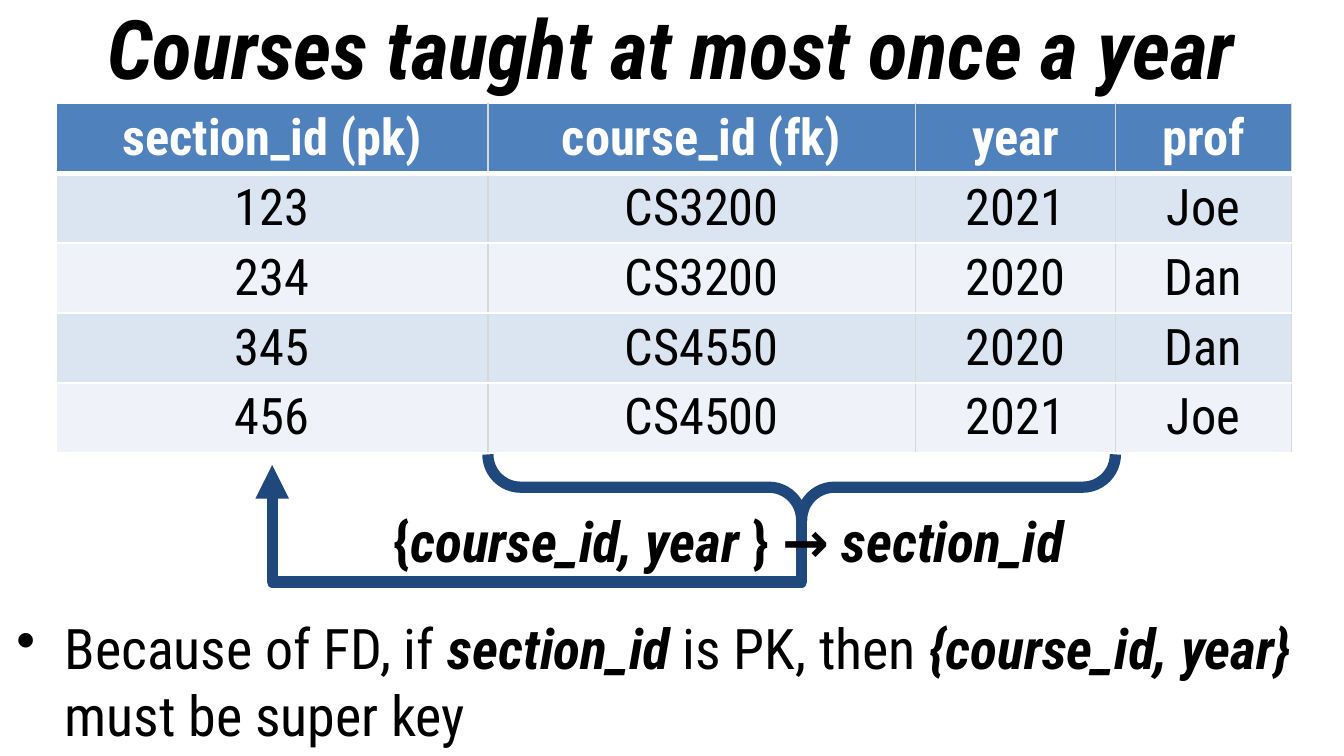
import pptx
import pptx.util
import pptx.dml.color
import pptx.enum.shapes
import pptx.enum.text
import pptx.oxml
import pptx.oxml.ns
from dataclasses import dataclass

Cm = pptx.util.Cm
Pt = pptx.util.Pt
qn = pptx.oxml.ns.qn

TITLE = [("Courses taught at most once a year", True, True)]
ROWS = [
    ("section_id (pk)", "course_id (fk)", "year", "prof"),
    ("123", "CS3200", "2021", "Joe"),
    ("234", "CS3200", "2020", "Dan"),
    ("345", "CS4550", "2020", "Dan"),
    ("456", "CS4500", "2021", "Joe"),
]
DEPENDENCY = [
    ("{", True, False),
    ("course_id, year ", True, True),
    ("} →", True, False),
    (" section_id", True, True),
]
CONCLUSION = [
    ("Because of FD, if ", False, False),
    ("section_id", True, True),
    (" is PK, then ", False, False),
    ("{course_id, year}", True, True),
    (" must be super key", False, False),
]


@dataclass(frozen=True)
class Theme:
    font: str = "Roboto Condensed"
    title: int = 44
    body: int = 30
    cell: int = 27
    stroke: int = 6
    black: str = "000000"
    white: str = "FFFFFF"
    navy: str = "1F497D"
    header: str = "4F81BD"
    bands: tuple = ("DBE5F1", "EFF3F9")
    grid: str = "D8D8D8"


T = Theme()
SLIDE_W, SLIDE_H = 25.4, 14.29
TABLE_X, TABLE_Y, ROW_H = 1.07, 1.96, 1.31
COLS = (8.15, 8.08, 3.78, 3.33)
BRACE_Y, BRACE_H = 8.59, 1.24
ARROW_TIP_Y, ARROW_LOW_Y = 8.79, 11.0


def rgb(value):
    return pptx.dml.color.RGBColor.from_string(value)


def add_runs(p, runs, size, color=T.black):
    for text, bold, italic in runs:
        r = p.add_run()
        r.text = text
        r.font.name = T.font
        r.font.size = Pt(size)
        r.font.bold = bold
        r.font.italic = italic
        r.font.color.rgb = rgb(color)


def add_text(s, box, runs, size, inset_y=0.13):
    tf = s.shapes.add_textbox(*map(Cm, box)).text_frame
    tf.word_wrap = True
    tf.margin_left = tf.margin_right = Cm(0.25)
    tf.margin_top = tf.margin_bottom = Cm(inset_y)
    add_runs(tf.paragraphs[0], runs, size)
    return tf


def set_borders(cell, first_column, header):
    left = T.white if first_column else T.grid
    edges = [("L", left, 1), ("R", T.grid, 1), ("T", T.white, 1),
             ("B", T.white, 3 if header else 1)]
    tc_pr = cell._tc.get_or_add_tcPr()
    for i, (side, color, width) in enumerate(edges):
        tc_pr.insert(i, pptx.oxml.parse_xml(
            f'<a:ln{side} {pptx.oxml.ns.nsdecls("a")} w="{Pt(width)}">'
            f'<a:solidFill><a:srgbClr val="{color}"/></a:solidFill></a:ln{side}>'))


def add_courses(s):
    table = s.shapes.add_table(
        len(ROWS), len(COLS), Cm(TABLE_X), Cm(TABLE_Y),
        Cm(sum(COLS)), Cm(ROW_H * len(ROWS))).table
    for column, width in zip(table.columns, COLS):
        column.width = Cm(width)
    for i, row in enumerate(ROWS):
        header = i == 0
        for j, text in enumerate(row):
            cell = table.cell(i, j)
            cell.margin_left = cell.margin_right = Cm(0.25)
            cell.margin_top = cell.margin_bottom = Cm(0.1)
            cell.fill.solid()
            cell.fill.fore_color.rgb = rgb(T.header if header else T.bands[(i - 1) % 2])
            set_borders(cell, j == 0, header)
            p = cell.text_frame.paragraphs[0]
            p.alignment = pptx.enum.text.PP_ALIGN.CENTER
            add_runs(p, [(text, header, False)], T.cell, T.white if header else T.black)


def add_brace(s, center_x, span):
    sp = s.shapes.add_shape(
        pptx.enum.shapes.MSO_SHAPE.RIGHT_BRACE,
        Cm(center_x - BRACE_H / 2), Cm(BRACE_Y + BRACE_H / 2 - span / 2),
        Cm(BRACE_H), Cm(span))
    sp.rotation = 90
    sp.adjustments[0] = sp.adjustments[1] = 0.5
    sp.shadow.inherit = False
    sp.fill.background()
    sp.line.color.rgb = rgb(T.navy)
    sp.line.width = Pt(T.stroke)


def add_arrow(s, start_x, end_x):
    start_y = BRACE_Y + BRACE_H
    rise, run = start_y - ARROW_TIP_Y, start_x - end_x
    mid_x, mid_y = (start_x + end_x) / 2, (start_y + ARROW_TIP_Y) / 2
    left, top = mid_x - rise / 2, mid_y - run / 2
    c = s.shapes.add_connector(
        pptx.enum.shapes.MSO_CONNECTOR.ELBOW,
        Cm(left + rise), Cm(top), Cm(left), Cm(top + run))
    c.line.color.rgb = rgb(T.navy)
    c.line.width = Pt(T.stroke)
    sp_pr = c._element.spPr
    sp_pr.find(qn("a:xfrm")).set("rot", str(90 * 60000))
    bend = round((start_y - ARROW_LOW_Y) / rise * 100000)
    guides = sp_pr.find(qn("a:prstGeom")).get_or_add_avLst()
    pptx.oxml.ns.qn("a:gd")
    guides.append(pptx.oxml.parse_xml(
        f'<a:gd {pptx.oxml.ns.nsdecls("a")} name="adj1" fmla="val {bend}"/>'))
    sp_pr.find(qn("a:ln")).append(pptx.oxml.parse_xml(
        f'<a:tailEnd {pptx.oxml.ns.nsdecls("a")} type="triangle"/>'))
    sp_pr.append(pptx.oxml.parse_xml(f'<a:effectLst {pptx.oxml.ns.nsdecls("a")}/>'))


def add_bullet(p):
    p_pr = p._p.get_or_add_pPr()
    p_pr.set("marL", str(Cm(0.97)))
    p_pr.set("indent", str(Cm(-0.91)))
    p_pr.append(pptx.oxml.parse_xml(
        f'<a:buChar {pptx.oxml.ns.nsdecls("a")} char="•"/>'))


def main():
    prs = pptx.Presentation()
    prs.slide_width, prs.slide_height = Cm(SLIDE_W), Cm(SLIDE_H)
    s = prs.slides.add_slide(prs.slide_layouts[6])

    add_courses(s)

    tf = add_text(s, (0, 0, SLIDE_W, 1.75), TITLE, T.title)
    tf.vertical_anchor = pptx.enum.text.MSO_ANCHOR.MIDDLE
    tf.paragraphs[0].alignment = pptx.enum.text.PP_ALIGN.CENTER

    key_span = COLS[1] + COLS[2]
    key_center = TABLE_X + COLS[0] + key_span / 2
    add_brace(s, key_center, key_span)
    add_arrow(s, key_center, TABLE_X + COLS[0] / 2)

    tf = add_text(s, (7.19, 9.32, 14.05, 1.8), DEPENDENCY, T.body, 0.25)
    tf.paragraphs[0].space_before = Pt(6.4)

    tf = add_text(s, (0, 11.46, SLIDE_W, 2.21), CONCLUSION, T.body)
    add_bullet(tf.paragraphs[0])

    prs.save("out.pptx")


if __name__ == "__main__":
    main()
